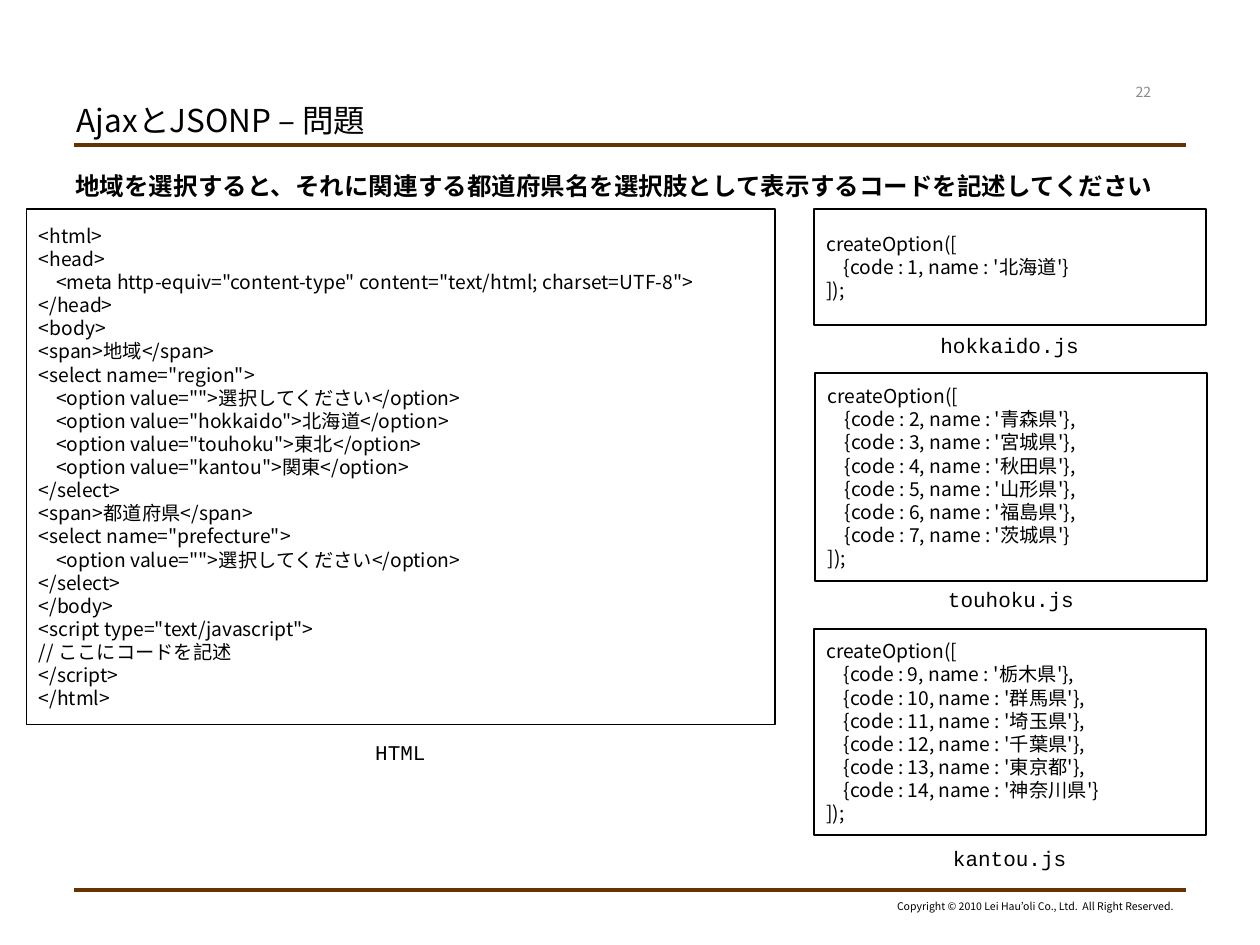
from lxml.etree import SubElement
from pptx import Presentation
from pptx.dml.color import RGBColor
from pptx.enum.shapes import MSO_CONNECTOR as Connector, MSO_SHAPE as Shape
from pptx.enum.text import MSO_ANCHOR as Anchor, MSO_AUTO_SIZE as AutoSize, PP_ALIGN as Align
from pptx.oxml.ns import qn
from pptx.util import Inches, Pt

HTML_CODE = """<html>
<head>
    <meta http-equiv="content-type" content="text/html; charset=UTF-8">
</head>
<body>
<span>地域</span>
<select name="region">
    <option value="">選択してください</option>
    <option value="hokkaido">北海道</option>
    <option value="touhoku">東北</option>
    <option value="kantou">関東</option>
</select>
<span>都道府県</span>
<select name="prefecture">
    <option value="">選択してください</option>
</select>
</body>
<script type="text/javascript">
// ここにコードを記述
</script>
</html>"""

# file name, box (left, top, width, height), label top, first code, prefectures
REGIONS = [
    ("hokkaido.js", (6.46, 1.66, 3.11, 0.92), 2.59, 1, ["北海道"]),
    ("touhoku.js", (6.47, 2.96, 3.11, 1.65), 4.61, 2,
     ["青森県", "宮城県", "秋田県", "山形県", "福島県", "茨城県"]),
    ("kantou.js", (6.46, 4.99, 3.11, 1.64), 6.66, 9,
     ["栃木県", "群馬県", "埼玉県", "千葉県", "東京都", "神奈川県"]),
]


def color(value):
    return RGBColor.from_string(value)


def jsonp_code(first_code, prefectures):
    entries = [f"    {{code : {code}, name : '{name}'}}"
               for code, name in enumerate(prefectures, first_code)]
    return "createOption([\n" + ",\n".join(entries) + "\n]);"


class SlideBuilder:
    """Holds the slide and its fonts, colours and line spacing."""

    BODY_FONT = "Noto Sans CJK JP"
    LABEL_FONT = "Courier New"
    INK, MUTED, BROWN = "000000", "898989", "663300"
    LINE_SPACING = 1.2

    def __init__(self, slide):
        self.slide = slide

    def fill_text(self, shape, text, size, *, font=BODY_FONT, ink=INK, bold=False,
                  align=Align.LEFT, anchor=Anchor.TOP, wrap=True):
        frame = shape.text_frame
        frame_format = {
            "word_wrap": wrap,
            "auto_size": AutoSize.NONE if wrap else AutoSize.SHAPE_TO_FIT_TEXT,
            "vertical_anchor": anchor,
            "margin_left": Inches(0.1), "margin_right": Inches(0.1),
            "margin_top": Inches(0.05), "margin_bottom": Inches(0.05),
        }
        for name, value in frame_format.items():
            setattr(frame, name, value)
        frame.text = text
        for paragraph in frame.paragraphs:
            paragraph.alignment = align
            paragraph.line_spacing = Pt(round(size * self.LINE_SPACING, 1))
            for run in paragraph.runs:
                for name, value in {"name": font, "size": Pt(size), "bold": bold}.items():
                    setattr(run.font, name, value)
                run.font.color.rgb = color(ink)
                SubElement(run._r.get_or_add_rPr(), qn("a:ea"), typeface=self.BODY_FONT)

    def title(self, box, text):
        heading = self.slide.shapes.title
        for name, value in zip(("left", "top", "width", "height"), box):
            setattr(heading, name, Inches(value))
        self.fill_text(heading, text, 18, anchor=Anchor.MIDDLE)

    def text(self, box, text, size, **style):
        self.fill_text(self.slide.shapes.add_textbox(*map(Inches, box)), text, size, **style)

    def rule(self, y):
        line = self.slide.shapes.add_connector(
            Connector.STRAIGHT, Inches(0.59), Inches(y), Inches(9.41), Inches(y))
        line.line.color.rgb = color(self.BROWN)
        line.line.width = Pt(2.25)
        SubElement(line._element.spPr, qn("a:effectLst"))

    def code_box(self, box, code):
        panel = self.slide.shapes.add_shape(Shape.RECTANGLE, *map(Inches, box))
        panel.shadow.inherit = False
        panel.fill.background()
        panel.line.color.rgb = color(self.INK)
        panel.line.width = Pt(1)
        self.fill_text(panel, code, 11, anchor=Anchor.MIDDLE)

    def label(self, box, top, text):
        """Centre a monospaced caption under a code box."""
        left, _, box_width, _ = box
        width = 0.1 * len(text) + 0.2
        self.text((left + (box_width - width) / 2, top, width, 0.3), text, 12,
                  font=self.LABEL_FONT, wrap=False)


def main():
    deck = Presentation()
    deck.slide_width, deck.slide_height = Inches(10), Inches(7.5)
    title_only = deck.slide_layouts[5]
    page = SlideBuilder(deck.slides.add_slide(title_only))

    for y in (1.15, 7.06):
        page.rule(y)
    page.text((6.99, 7.09, 2.42, 0.2),
              "Copyright © 2010 Lei Hau’oli Co., Ltd.  All Right Reserved.",
              6, align=Align.RIGHT, wrap=False)
    page.title((0.51, 0.76, 5.39, 0.39), "AjaxとJSONP – 問題")
    page.text((8.78, 0.61, 0.59, 0.24), "22", 8, ink=page.MUTED,
              align=Align.CENTER, anchor=Anchor.MIDDLE)
    page.text((0.5, 1.31, 9, 0.35),
              "地域を選択すると、それに関連する都道府県名を選択肢として表示するコードを記述してください",
              14, bold=True)

    html_box = (0.21, 1.66, 5.94, 4.09)
    page.code_box(html_box, HTML_CODE)
    page.label(html_box, 5.82, "HTML")
    for file_name, box, label_top, first_code, prefectures in REGIONS:
        page.code_box(box, jsonp_code(first_code, prefectures))
        page.label(box, label_top, file_name)

    deck.save("out.pptx")


if __name__ == "__main__":
    main()
